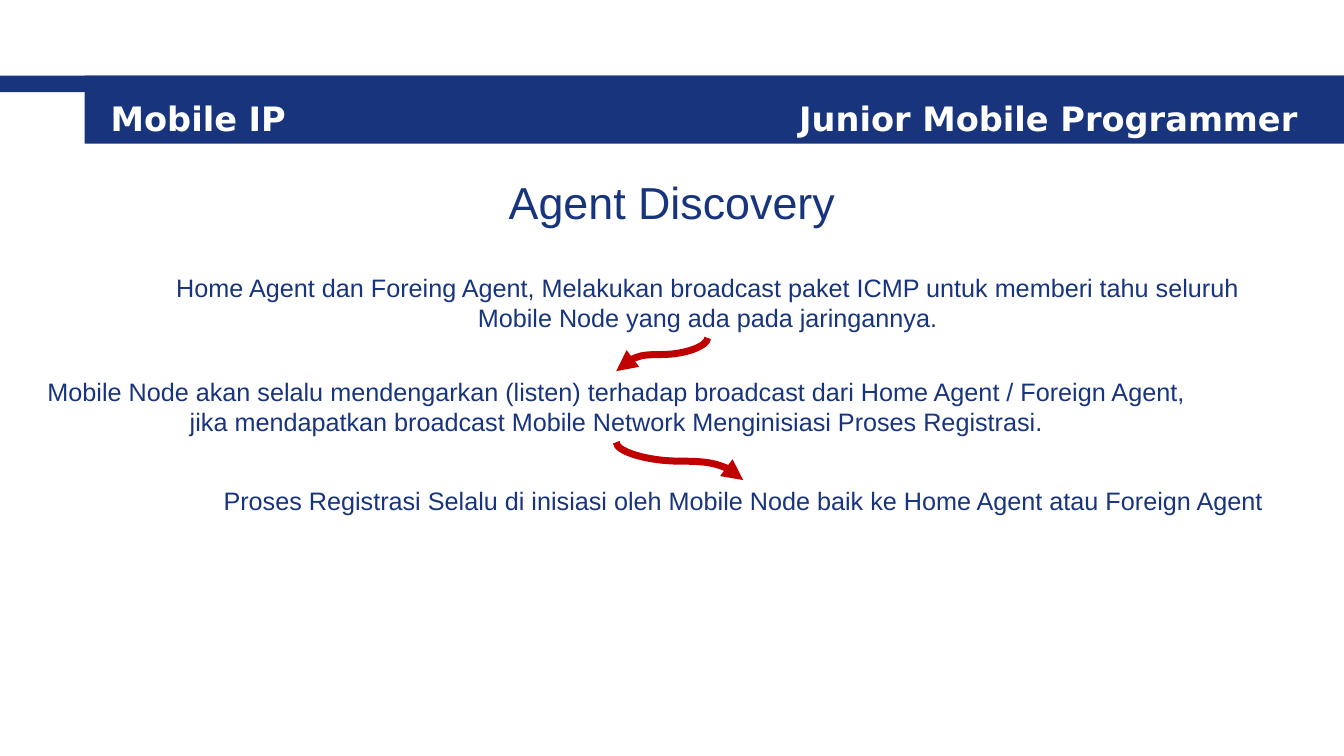
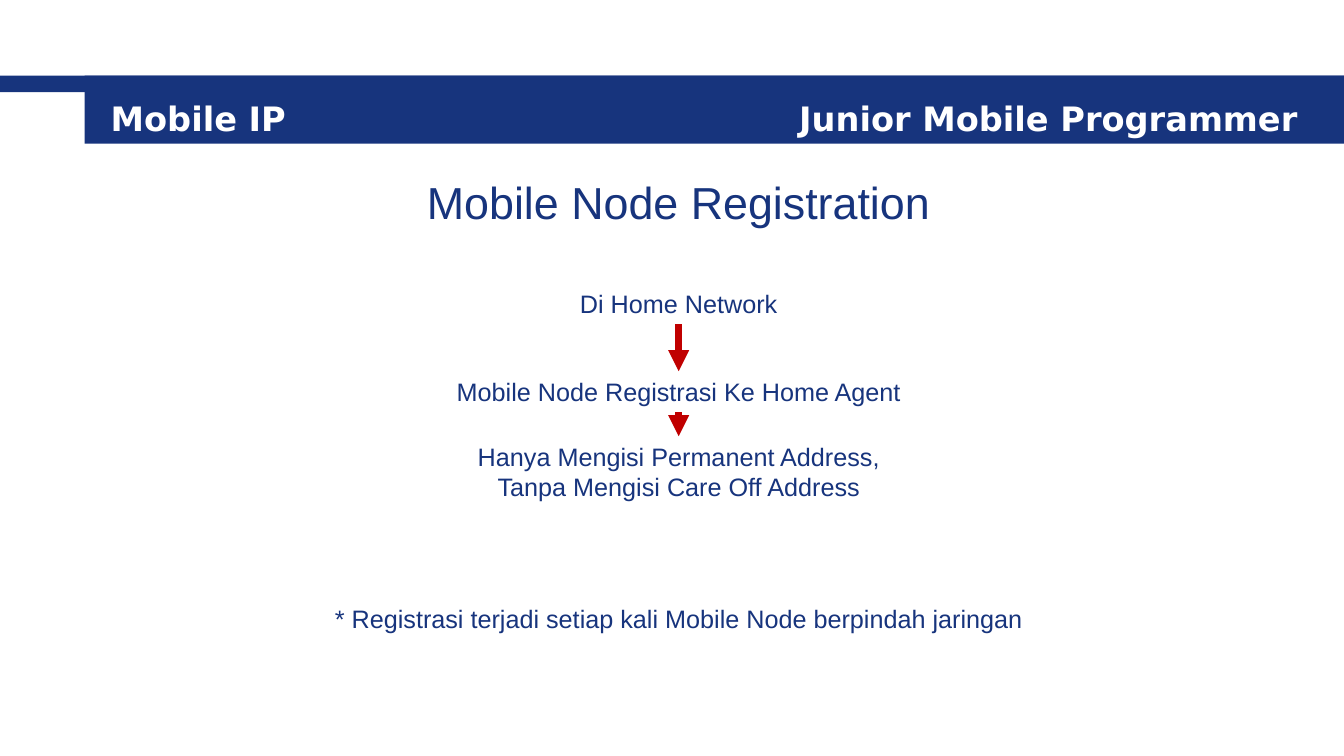
from pptx import Presentation
from pptx import util as u
from pptx.dml.color import RGBColor
from pptx.enum import shapes, text
from pptx.oxml.ns import qn
from lxml import etree

NAVY = RGBColor(0x17, 0x34, 0x7D)
RED = RGBColor(0xC0, 0x00, 0x00)
WHITE = RGBColor(0xFF, 0xFF, 0xFF)

deck = Presentation()
deck.slide_width, deck.slide_height = u.Inches(13.333), u.Inches(7.5)

# Grid: 100 columns by 100 rows
COL, ROW = deck.slide_width / 100, deck.slide_height / 100
ONE_LINE, TWO_LINES = 5.4, 9.4
HEADER_TAB = 88.3


def add_text(slide, words, center, top, width, height, size=18, font="Arial",
             color=NAVY, bold=False, align=text.PP_ALIGN.CENTER, tab=None):
    """Text box placed by its centre column; \\n starts a paragraph, \\v a line."""
    box = slide.shapes.add_textbox(int((center - width / 2) * COL), int(top * ROW),
                                   int(width * COL), int(height * ROW))
    frame = box.text_frame
    frame.word_wrap = tab is not None
    frame.text = words
    for paragraph in frame.paragraphs:
        paragraph.alignment = align
        if tab is not None:
            stops = etree.SubElement(paragraph._p.get_or_add_pPr(), qn("a:tabLst"))
            etree.SubElement(stops, qn("a:tab"), pos=str(int(tab * COL)), algn="r")
        for run in paragraph.runs:
            run.font.name, run.font.size = font, u.Pt(size)
            run.font.bold, run.font.color.rgb = bold, color
    return box


def add_arrow(slide, source, target):
    """Arrow from the bottom of one box to the top of the next."""
    x1, y1 = source.left + source.width // 2, source.top + source.height
    x2, y2 = target.left + target.width // 2, target.top
    if abs(x2 - x1) < COL / 10:
        arrow = slide.shapes.add_connector(shapes.MSO_CONNECTOR.STRAIGHT, x1, y1, x2, y2)
        arrow.begin_connect(source, 2)
        arrow.end_connect(target, 0)
    else:
        # A quarter turn makes the curve leave and arrive vertically
        mid_x, mid_y = (x1 + x2) // 2, (y1 + y2) // 2
        half_run, half_drop = abs(x2 - x1) // 2, (y2 - y1) // 2
        side = 1 if x2 < x1 else -1
        arrow = slide.shapes.add_connector(
            shapes.MSO_CONNECTOR.CURVE,
            mid_x - side * half_drop, mid_y - half_run,
            mid_x + side * half_drop, mid_y + half_run)
        turn = 90 if side == 1 else 270
        arrow._element.spPr.find(qn("a:xfrm")).set("rot", str(turn * 60000))
    arrow.line.color.rgb, arrow.line.width = RED, u.Pt(5)
    etree.SubElement(arrow.line._get_or_add_ln(), qn("a:tailEnd"), type="triangle")
    etree.SubElement(arrow._element.spPr, qn("a:effectLst"))


# Each slide: title with centre and width, then steps and notes as
# (words, centre, top, width, height)
topics = [
    ("Agent Discovery", 50, 26, [
        ("Home Agent dan Foreing Agent, Melakukan broadcast paket ICMP untuk memberi "
         "tahu seluruh\vMobile Node yang ada pada jaringannya.",
         52.65, 35.3, 81.3, TWO_LINES),
        ("Mobile Node akan selalu mendengarkan (listen) terhadap broadcast dari "
         "Home Agent / Foreign Agent,\vjika mendapatkan broadcast Mobile Network "
         "Menginisiasi Proses Registrasi.",
         45.85, 49.1, 86.9, TWO_LINES),
        ("Proses Registrasi Selalu di inisiasi oleh Mobile Node baik ke Home Agent "
         "atau Foreign Agent",
         55.3, 63.5, 79.6, ONE_LINE),
    ], []),
    ("Mobile Node Registration", 50.5, 39.2, [
        ("Di Home Network", 50.5, 37.5, 16.4, ONE_LINE),
        ("Mobile Node Registrasi Ke Home Agent", 50.5, 49.1, 34.8, ONE_LINE),
        ("Hanya Mengisi Permanent Address,\nTanpa Mengisi Care Off Address",
         50.5, 57.7, 31.8, TWO_LINES),
    ], [
        ("* Registrasi terjadi setiap kali Mobile Node berpindah jaringan",
         50.5, 79.2, 53.2, ONE_LINE),
    ]),
]

for title, title_center, title_width, steps, notes in topics:
    slide = deck.slides.add_slide(deck.slide_layouts[6])

    # Header bands: thin one across, thick one from the indent to the right edge
    for left, height in ((0, 2.2), (6.3, 9)):
        band = slide.shapes.add_shape(
            shapes.MSO_SHAPE.RECTANGLE, int(left * COL), int(10 * ROW),
            int((100 - left) * COL), int(height * ROW))
        band.shadow.inherit = False
        band.fill.solid()
        band.fill.fore_color.rgb = NAVY
        band.line.fill.background()
    add_text(slide, "Mobile IP\tJunior Mobile Programmer", 52.7, 12.3, 90.4, 6.7,
             size=24, font="DejaVu Sans", color=WHITE, bold=True,
             align=text.PP_ALIGN.LEFT, tab=HEADER_TAB)

    # Title, steps joined by arrows, notes
    add_text(slide, title, title_center, 22.5, title_width, 8.5, size=32)
    boxes = [add_text(slide, *step) for step in steps]
    for source, target in zip(boxes, boxes[1:]):
        add_arrow(slide, source, target)
    for note in notes:
        add_text(slide, *note)

deck.save("out.pptx")
